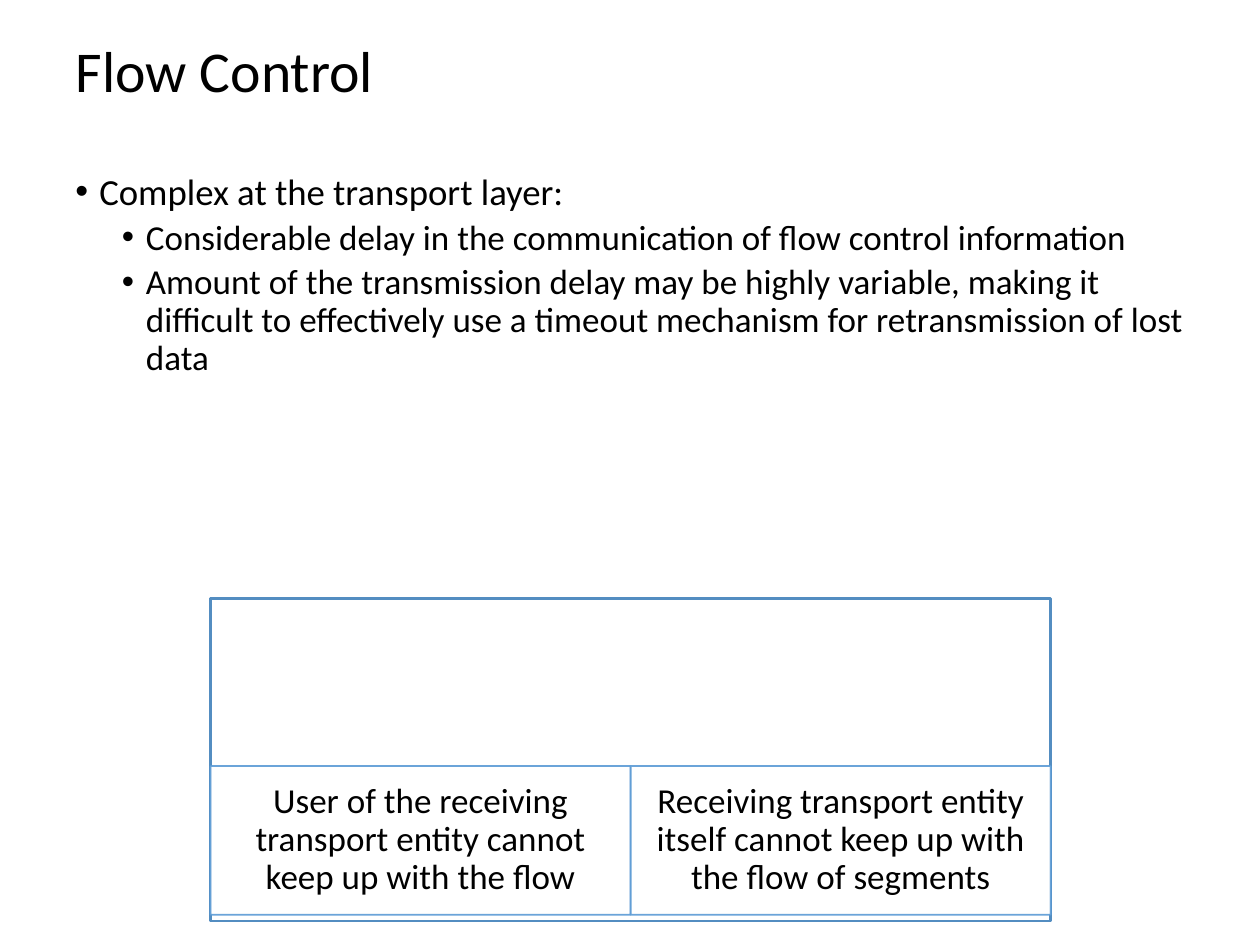
"""Build the Flow Control slide."""
import pptx
import pptx.dml.color
import pptx.enum.shapes
import pptx.enum.text
import pptx.oxml.ns
import pptx.util
from lxml import etree

Inches, Pt = pptx.util.Inches, pptx.util.Pt
ALIGN, ANCHOR = pptx.enum.text.PP_ALIGN, pptx.enum.text.MSO_ANCHOR

TITLE = "Flow Control"
BULLETS = [
    (0, "Complex at the transport layer:"),
    (1, "Considerable delay in the communication of flow control information"),
    (1, "Amount of the transmission delay may be highly variable, making it difficult "
        "to effectively use a timeout mechanism for retransmission of lost data"),
]
LEVELS = [
    {"size": 21, "margin": 0.19, "before": 7.5},
    {"size": 20, "margin": 0.56, "before": 3.8},
]
HANGING = 0.19
REASONS = [
    "User of the receiving transport entity cannot keep up with the flow",
    "Receiving transport entity itself cannot keep up with the flow of segments",
]
FRAME = (1.67, 4.75, 6.67, 2.56)
REASON_TOP, REASON_HEIGHT = 6.08, 1.18
REASON_OPACITY = 90


def colour(target, value):
    target.rgb = pptx.dml.color.RGBColor.from_string(value)


def apply(target, settings):
    for name, value in settings.items():
        setattr(target, name, value)


def write(para, text, size, **settings):
    para.text = text
    apply(para, {"line_spacing": 0.9, **settings})
    apply(para.font, {"name": "Calibri", "size": Pt(size)})
    colour(para.font.color, "000000")


def add_bullet(para, margin):
    properties = para._p.get_or_add_pPr()
    properties.set("marL", str(Inches(margin)))
    properties.set("indent", str(Inches(-HANGING)))
    for tag, name, value in (("a:buFont", "typeface", "Arial"), ("a:buChar", "char", "•")):
        etree.SubElement(properties, pptx.oxml.ns.qn(tag)).set(name, value)


def set_opacity(fill_parent, percent):
    tint = fill_parent.find(".//" + pptx.oxml.ns.qn("a:srgbClr"))
    etree.SubElement(tint, pptx.oxml.ns.qn("a:alpha")).set("val", str(percent * 1000))


def add_rectangle(page, place, line, width):
    box = page.shapes.add_shape(
        pptx.enum.shapes.MSO_SHAPE.RECTANGLE, *map(Inches, place))
    box.shadow.inherit = False
    box.fill.solid()
    colour(box.fill.fore_color, "FFFFFF")
    colour(box.line.color, line)
    box.line.width = Pt(width)
    return box


def add_title(page):
    title = page.shapes.title
    apply(title, dict(left=Inches(0.5), top=0, width=Inches(9), height=Inches(1.17)))
    title.text_frame.vertical_anchor = ANCHOR.MIDDLE
    write(title.text_frame.paragraphs[0], TITLE, 33, alignment=ALIGN.LEFT)


def add_bullets(page):
    frame = page.shapes.add_textbox(*map(Inches, (0.5, 1.33, 9, 3.5))).text_frame
    frame.word_wrap = True
    for index, (level, text) in enumerate(BULLETS):
        para = frame.add_paragraph() if index else frame.paragraphs[0]
        style = LEVELS[level]
        add_bullet(para, style["margin"])
        write(para, text, style["size"], level=level,
              space_before=Pt(style["before"] if index else 0))


def add_reasons(page):
    add_rectangle(page, FRAME, "538DC1", 1.5)
    left, _, total, _ = FRAME
    width = total / len(REASONS)
    for index, text in enumerate(REASONS):
        place = (left + index * width, REASON_TOP, width, REASON_HEIGHT)
        box = add_rectangle(page, place, "5B9BD5", 1)
        properties = box.fill._xPr
        for part in (properties.find(pptx.oxml.ns.qn("a:solidFill")),
                     properties.find(pptx.oxml.ns.qn("a:ln"))):
            set_opacity(part, REASON_OPACITY)
        apply(box.text_frame, {
            "word_wrap": True, "vertical_anchor": ANCHOR.MIDDLE,
            "margin_left": Inches(0.16), "margin_right": Inches(0.16),
            "margin_top": Inches(0.03), "margin_bottom": Inches(0.03)})
        write(box.text_frame.paragraphs[0], text, 20, alignment=ALIGN.CENTER)


def main():
    deck = pptx.Presentation()
    apply(deck, {"slide_width": Inches(10), "slide_height": Inches(7.5)})
    page = deck.slides.add_slide(deck.slide_layouts[5])
    add_title(page)
    add_bullets(page)
    add_reasons(page)
    deck.save("out.pptx")


if __name__ == "__main__":
    main()
